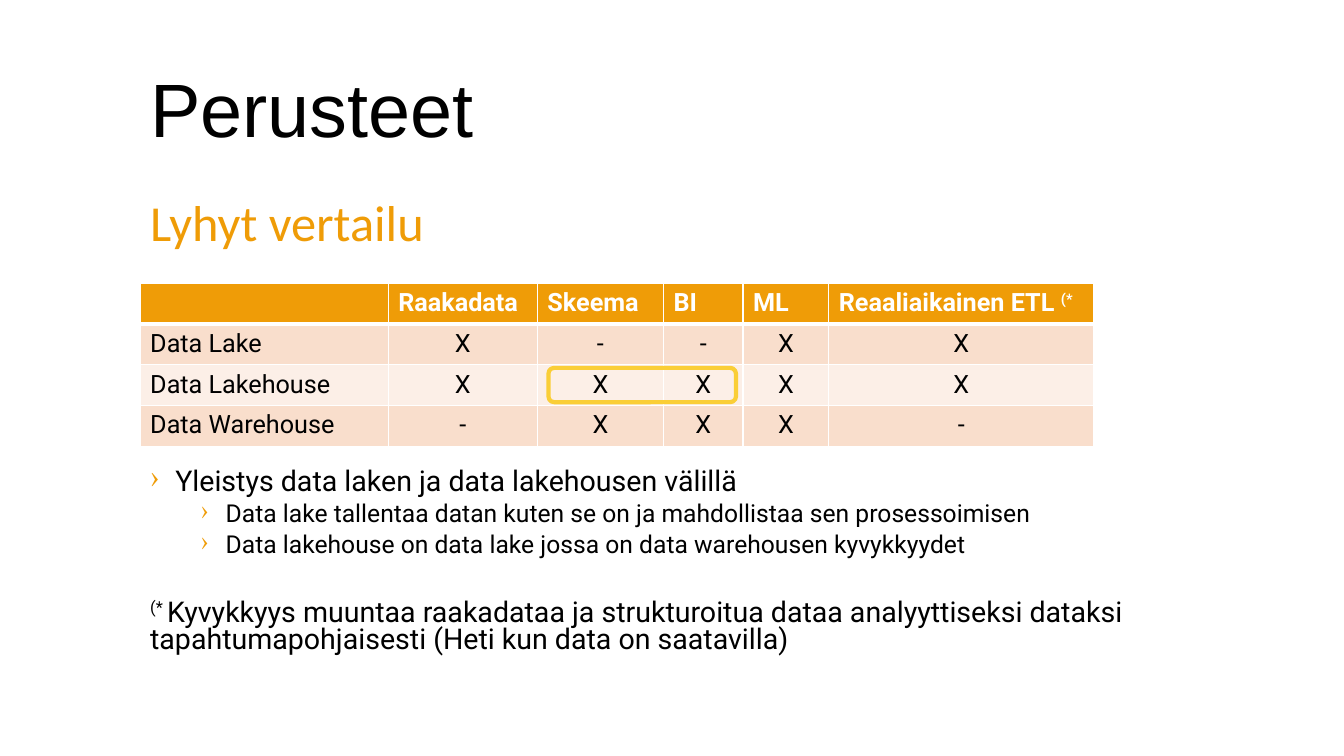
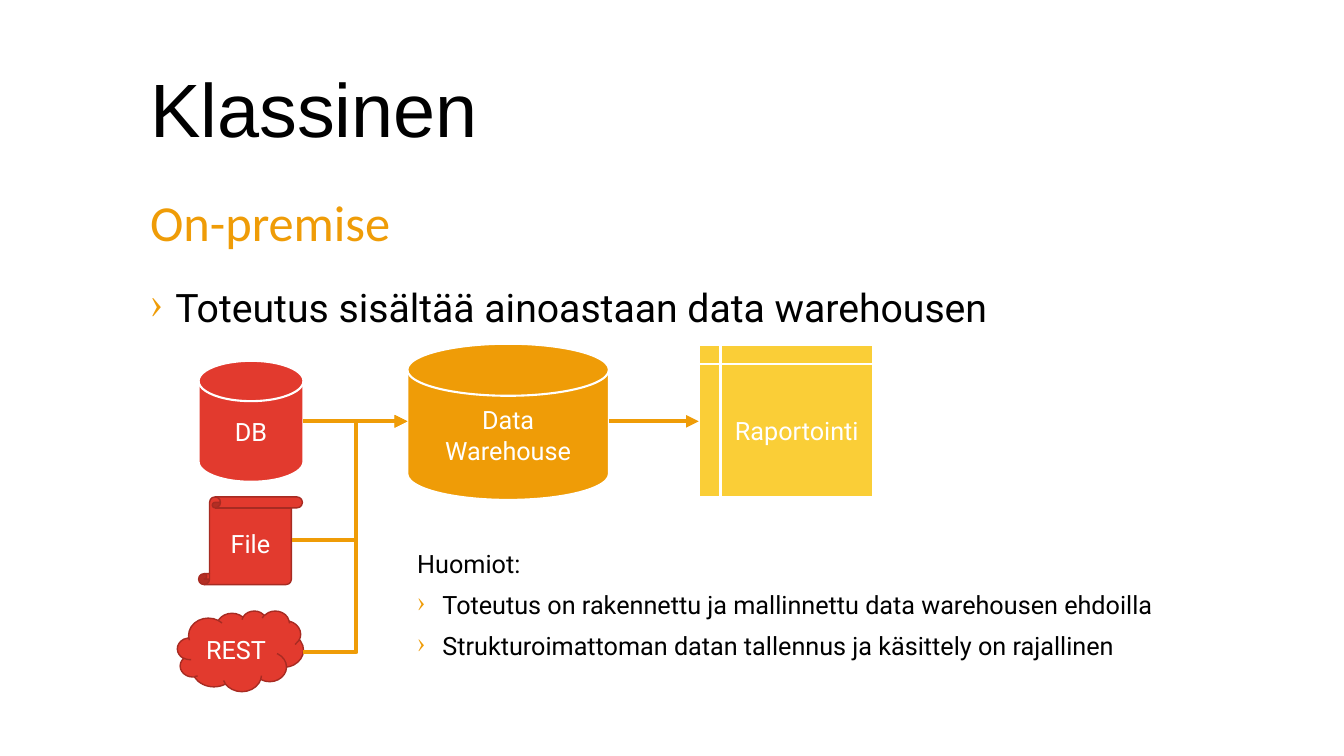
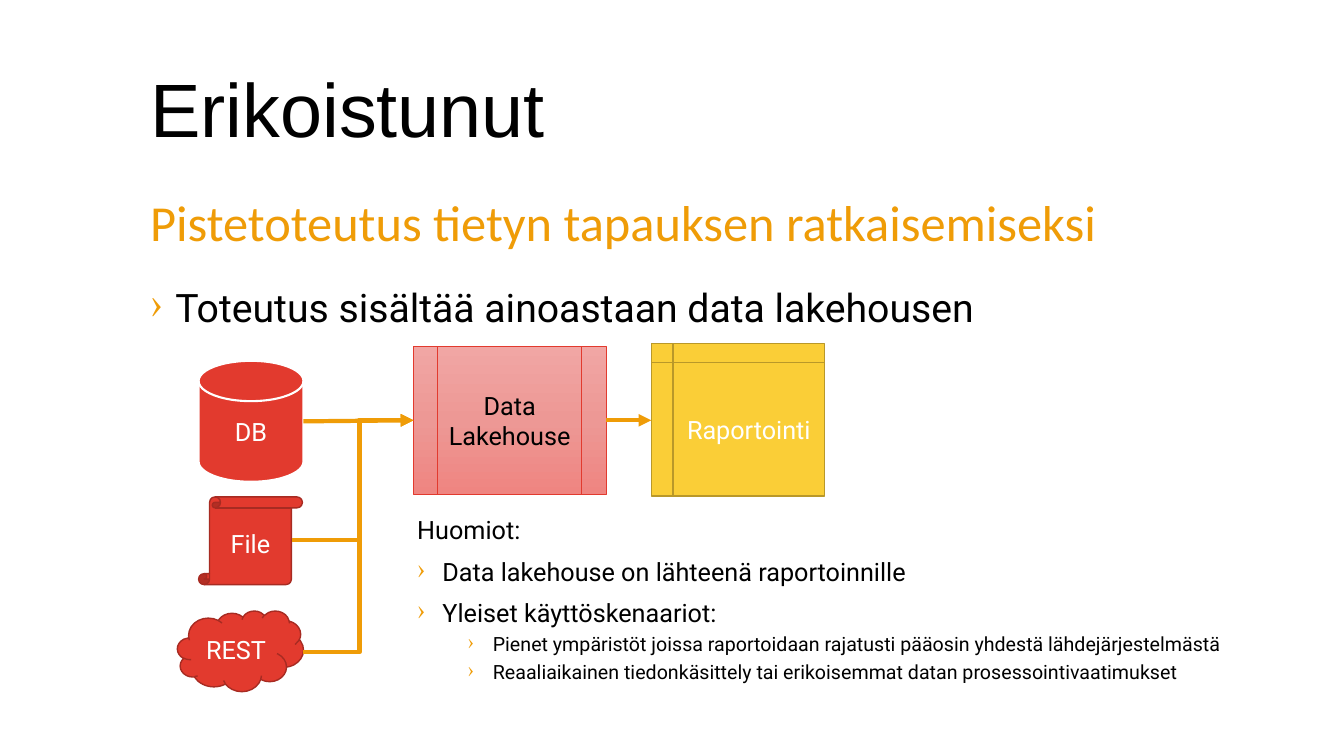
"""Build three slides that compare data platform architectures."""
from copy import deepcopy

from lxml.etree import SubElement
from pptx import Presentation
from pptx.dml.color import RGBColor
from pptx.enum.shapes import MSO_CONNECTOR as CONN, MSO_SHAPE as SHAPE
from pptx.enum.text import MSO_ANCHOR as ANCHOR, PP_ALIGN as ALIGN
from pptx.oxml.ns import qn
from pptx.util import Pt

PX = 9144
ORANGE = RGBColor(0xEF, 0x9C, 0x07)
YELLOW = RGBColor(0xFA, 0xCE, 0x37)
OCHRE = RGBColor(0xB9, 0x98, 0x29)
RED = RGBColor(0xE2, 0x3A, 0x2E)
DARK_RED = RGBColor(0xA7, 0x2B, 0x22)
PEACH = RGBColor(0xF9, 0xDE, 0xCC)
PALE_PEACH = RGBColor(0xFC, 0xEF, 0xE7)
BLACK = RGBColor(0, 0, 0)
WHITE = RGBColor(0xFF, 0xFF, 0xFF)
PINK_FADE = (
    (0, RGBColor(0xF1, 0xA6, 0xA4)),
    (0.5, RGBColor(0xED, 0x98, 0x95)),
    (1, RGBColor(0xEF, 0x85, 0x81)),
)

TITLE = {"name": "Arial", "size": Pt(54)}
SUBTITLE = {"name": "Calibri", "size": Pt(36)}
BODY = {"name": "Roboto", "size": Pt(18)}
LEFT, WIDTH = 139, 1081
SOURCE_RIGHT = 301


def px(*lengths):
    """Turn px lengths into EMU."""
    return [round(n * PX) for n in lengths]


def write(p, text, font, color=BLACK, **extra):
    """Add one run, or several from a tuple, raising footnote marks."""
    for part in text if isinstance(text, tuple) else (text,):
        r = p.add_run()
        r.text = part
        for key, value in {**font, **extra}.items():
            setattr(r.font, key, value)
        r.font.color.rgb = color
        if part.startswith("(*"):
            r._r.get_or_add_rPr().set("baseline", "30000")


def add_bullet(p, level):
    """Give a paragraph an orange angle bullet at level 1 or 2."""
    p.level = level - 1
    pPr = p._p.get_or_add_pPr()
    pPr.set("marL", str(px(50 * level - 25)[0]))
    pPr.set("indent", str(px(-25)[0]))
    SubElement(SubElement(pPr, qn("a:buClr")), qn("a:srgbClr")).set("val", str(ORANGE))
    SubElement(pPr, qn("a:buChar")).set("char", "›")


def add_text(s, box, paras, font, color=BLACK, spacing=0.9, anchor=ANCHOR.TOP):
    """Add a text box of (bullet level, text, format overrides) paragraphs."""
    tf = s.shapes.add_textbox(*px(*box)).text_frame
    tf.word_wrap = True
    tf.vertical_anchor = anchor
    for i, (level, text, extra) in enumerate(paras):
        p = tf.paragraphs[0] if i == 0 else tf.add_paragraph()
        extra = dict(extra)
        before = extra.pop("before", 5 if level == 2 else 10)
        for key, value in {"line_spacing": spacing, "space_before": Pt(before)}.items():
            setattr(p, key, value)
        if level:
            add_bullet(p, level)
        write(p, text, font, color, **extra)


def add_slide(prs, title, subtitle):
    """Add a slide with its title and orange subtitle."""
    s = prs.slides.add_slide(prs.slide_layouts[6])
    add_text(s, (LEFT, 40, WIDTH, 144), [(0, title, {"before": 0})], TITLE,
             anchor=ANCHOR.MIDDLE)
    add_text(s, (LEFT, 191, WIDTH, 72), [(0, subtitle, {})], SUBTITLE, ORANGE)
    return s


def paint(fill, sp, color):
    """Fill a shape with nothing, one colour or a downward fade."""
    if color is None:
        fill.background()
    elif isinstance(color, RGBColor):
        fill.solid()
        fill.fore_color.rgb = color
    else:
        fill.gradient()
        fill.gradient_angle = 270
        stops = sp._element.spPr.find(".//" + qn("a:gsLst"))
        stops.insert(1, deepcopy(stops[0]))
        for stop, (position, rgb) in zip(fill.gradient_stops, color):
            stop.position = position
            stop.color.rgb = rgb


def add_box(s, kind, box, fill, line, weight, text="", color=WHITE):
    """Add a preset shape with centred text."""
    sp = s.shapes.add_shape(kind, *px(*box))
    sp.shadow.inherit = False
    paint(sp.fill, sp, fill)
    sp.line.color.rgb = line
    sp.line.width = Pt(weight)
    if text:
        tf = sp.text_frame
        tf.word_wrap = True
        tf.vertical_anchor = ANCHOR.MIDDLE
        tf.paragraphs[0].alignment = ALIGN.CENTER
        write(tf.paragraphs[0], text, BODY, color)


def add_arrow(s, start, end, bend=None):
    """Add an orange arrow, turning at x = bend when that is given."""
    kind = CONN.STRAIGHT if bend is None else CONN.ELBOW
    c = s.shapes.add_connector(kind, *px(*start, *end))
    c.line.color.rgb = ORANGE
    c.line.width = Pt(3)
    SubElement(c.line._get_or_add_ln(), qn("a:tailEnd")).set("type", "triangle")
    spPr = c._element.spPr
    SubElement(spPr, qn("a:effectLst"))
    if bend is not None:
        share = (bend - start[0]) / (end[0] - start[0])
        guide = SubElement(spPr.find(".//" + qn("a:avLst")), qn("a:gd"))
        guide.set("name", "adj1")
        guide.set("fmla", f"val {round(share * 100000)}")


def add_border(cell, side, weight):
    """Draw one white border of a table cell."""
    ln = SubElement(cell._tc.get_or_add_tcPr(), qn("a:" + side))
    ln.set("w", str(Pt(weight)))
    SubElement(SubElement(ln, qn("a:solidFill")), qn("a:srgbClr")).set("val", str(WHITE))


def add_table(s, box, widths, rows):
    """Add a table with an orange header and banded rows."""
    table = s.shapes.add_table(len(rows), len(widths), *px(*box)).table
    for col, width in zip(table.columns, px(*widths)):
        col.width = width
    for i, row in enumerate(rows):
        for j, text in enumerate(row):
            cell = table.cell(i, j)
            for side in ("lnL", "lnR", "lnT", "lnB"):
                edge = (i, side) in ((0, "lnB"), (1, "lnT"))
                add_border(cell, side, 3 if edge else 1)
            cell.fill.solid()
            cell.fill.fore_color.rgb = (PEACH if i % 2 else PALE_PEACH) if i else ORANGE
            p = cell.text_frame.paragraphs[0]
            if i and j:
                p.alignment = ALIGN.CENTER
            if text:
                write(p, text, BODY, BLACK if i else WHITE, bold=i == 0)


def add_sources(s, hub_x, hub_y):
    """Add the three data sources and their arrows to the hub."""
    hub = (hub_x, hub_y)
    bend = (SOURCE_RIGHT + hub_x) / 2 + 1
    add_box(s, SHAPE.FLOWCHART_MAGNETIC_DISK, (197, 358, 104, 120), RED, WHITE, 1.5, "DB")
    add_box(s, SHAPE.CLOUD, (176, 606, 125, 80), RED, DARK_RED, 1, "REST")
    add_arrow(s, (SOURCE_RIGHT, 418), hub)
    add_arrow(s, (SOURCE_RIGHT, 647), hub, bend)
    add_box(s, SHAPE.VERTICAL_SCROLL, (197, 493, 103, 87), RED, DARK_RED, 1, "File")
    add_arrow(s, (290, 536), hub, bend)


def add_flow_slide(prs, title, subtitle, lead, hub, report, notes_box, notes):
    """Add a slide where sources feed a hub that feeds reporting."""
    s = add_slide(prs, title, subtitle)
    add_text(s, (LEFT, 281, WIDTH, 59), [(1, lead, {"size": Pt(28)})], BODY)
    x, y, w, h = hub["box"]
    middle = y + h // 2
    add_box(s, **hub)
    add_sources(s, x, middle)
    add_box(s, SHAPE.FLOWCHART_INTERNAL_STORAGE, fill=YELLOW, text="Raportointi", **report)
    add_arrow(s, (x + w, middle), (report["box"][0], middle))
    add_text(s, notes_box, [(0, "Huomiot:", {}), *notes], BODY)


def add_comparison(prs):
    """Add the comparison table slide."""
    s = add_slide(prs, "Perusteet", "Lyhyt vertailu")
    add_table(s, (LEFT, 281, 946, 162), (246, 148, 125, 79, 85, 263), [
        ("", "Raakadata", "Skeema", "BI", "ML", ("Reaaliaikainen ETL ", "(*")),
        ("Data Lake", "X", "-", "-", "X", "X"),
        ("Data Lakehouse", "X", "X", "X", "X", "X"),
        ("Data Warehouse", "-", "X", "X", "X", "-"),
    ])
    large, small = {"size": Pt(20.4)}, {"size": Pt(17.6)}
    add_text(s, (LEFT, 461, WIDTH, 198), [
        (1, "Yleistys data laken ja data lakehousen välillä", large),
        (2, "Data lake tallentaa datan kuten se on ja mahdollistaa sen prosessoimisen", small),
        (2, "Data lakehouse on data lake jossa on data warehousen kyvykkyydet", small),
        (0, ("(* ", "Kyvykkyys muuntaa raakadataa ja strukturoitua dataa analyyttiseksi "
                    "dataksi tapahtumapohjaisesti (Heti kun data on saatavilla)"),
         {**large, "before": 30}),
    ], BODY, spacing=0.8)
    add_box(s, SHAPE.ROUNDED_RECTANGLE, (544, 365, 186, 34), None, YELLOW, 3)


def main():
    """Build and save the presentation."""
    prs = Presentation()
    prs.slide_width, prs.slide_height = px(1333, 750)
    add_comparison(prs)
    add_flow_slide(
        prs, "Klassinen", "On-premise", "Toteutus sisältää ainoastaan data warehousen",
        {"kind": SHAPE.FLOWCHART_MAGNETIC_DISK, "box": (404, 341, 200, 155),
         "fill": ORANGE, "line": WHITE, "weight": 1.5, "text": "Data Warehouse"},
        {"box": (693, 342, 173, 151), "line": WHITE, "weight": 1.5},
        (404, 542, 857, 168),
        [(1, "Toteutus on rakennettu ja mallinnettu data warehousen ehdoilla", {}),
         (1, "Strukturoimattoman datan tallennus ja käsittely on rajallinen", {})])
    small = {"size": Pt(14)}
    add_flow_slide(
        prs, "Erikoistunut", "Pistetoteutus tietyn tapauksen ratkaisemiseksi",
        "Toteutus sisältää ainoastaan data lakehousen",
        {"kind": SHAPE.FLOWCHART_PREDEFINED_PROCESS, "box": (410, 344, 191, 146),
         "fill": PINK_FADE, "line": RED, "weight": 0.5, "text": "Data Lakehouse",
         "color": BLACK},
        {"box": (646, 341, 172, 151), "line": OCHRE, "weight": 1},
        (404, 509, 857, 229),
        [(1, "Data lakehouse on lähteenä raportoinnille", {}),
         (1, "Yleiset käyttöskenaariot:", {}),
         (2, "Pienet ympäristöt joissa raportoidaan rajatusti pääosin yhdestä "
             "lähdejärjestelmästä", small),
         (2, "Reaaliaikainen tiedonkäsittely tai erikoisemmat datan "
             "prosessointivaatimukset", small)])
    prs.save("out.pptx")


if __name__ == "__main__":
    main()
